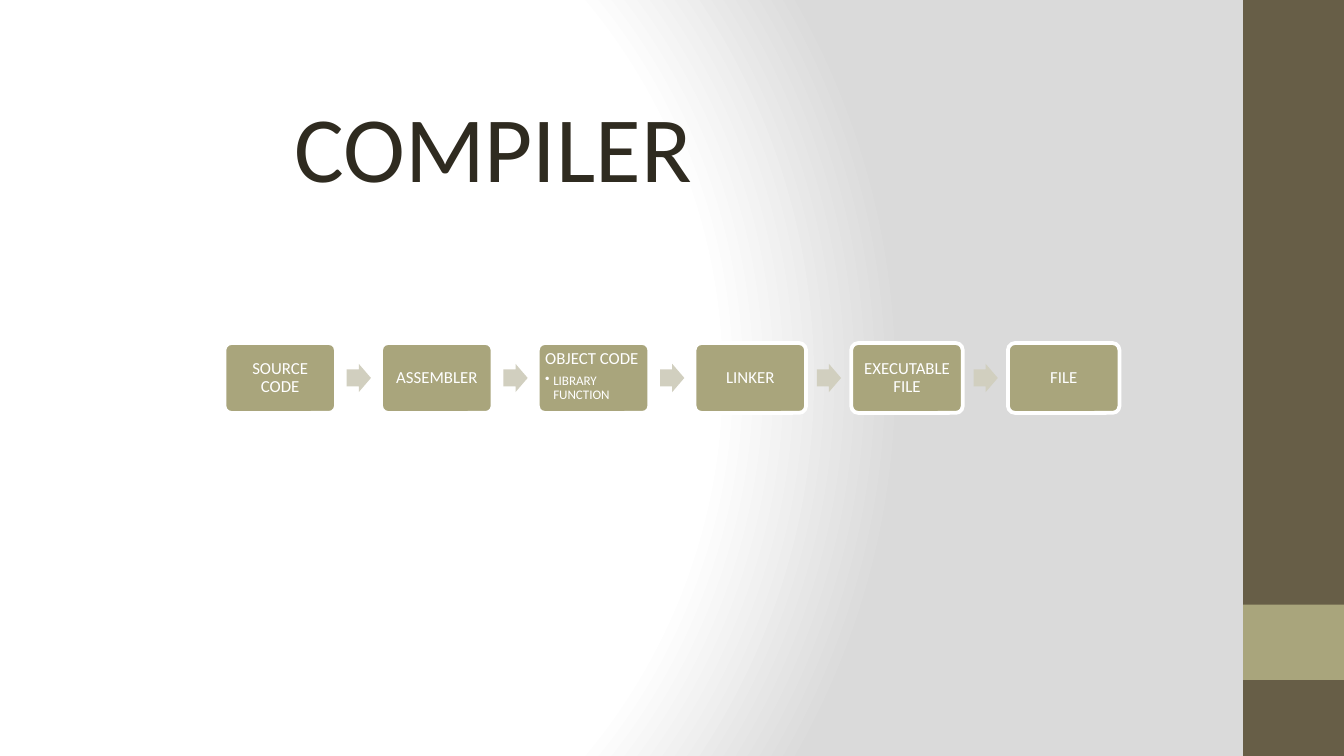
from pptx import Presentation
from pptx.dml.color import RGBColor
from pptx.enum.shapes import MSO_SHAPE
from pptx.enum.text import MSO_ANCHOR, PP_ALIGN
from pptx.oxml import parse_xml
from pptx.oxml.ns import nsdecls
from pptx.util import Inches, Pt

FONT = "Calibri"
WHITE, GREY = "FFFFFF", "DADADA"
BROWN, OLIVE, PALE, INK = "675E47", "A9A57C", "D1CFBF", "2F2B20"

# Widescreen page, 16:9
PAGE_WIDTH = 10
PAGE_HEIGHT = PAGE_WIDTH * 9 / 16

# Each stage has a heading and an optional bullet
STAGES = [
    ("SOURCE CODE", None),
    ("ASSEMBLER", None),
    ("OBJECT CODE", "LIBRARY FUNCTION"),
    ("LINKER", None),
    ("EXECUTABLE FILE", None),
    ("FILE", None),
]
FLOW_LEFT, FLOW_RIGHT = 1.67, 8.33
FLOW_MIDDLE = PAGE_HEIGHT / 2
BOX_WIDTH, BOX_HEIGHT = 0.83, 0.52
ARROW_WIDTH, ARROW_HEIGHT, ARROW_OFFSET = 0.18, 0.21, 0.91


def color(value):
    return RGBColor.from_string(value)


def set_attributes(target, values):
    for name, value in values.items():
        setattr(target, name, value)


def set_background(page):
    """Radial gradient, white at the left and grey at the right."""
    page.background.fill.solid()
    solid = page.element.xpath(".//p:bgPr/a:solidFill")[0]
    stops = "".join(
        f'<a:gs pos="{position}000"><a:srgbClr val="{value}"/></a:gs>'
        for position, value in ((0, WHITE), (75, WHITE), (100, GREY))
    )
    gradient = parse_xml(
        f'<a:gradFill {nsdecls("a")} rotWithShape="1"><a:gsLst>{stops}</a:gsLst>'
        '<a:path path="circle"><a:fillToRect l="20000" t="50000" r="100000" b="50000"/>'
        "</a:path></a:gradFill>"
    )
    solid.getparent().replace(solid, gradient)


def add_shape(page, kind, left, top, width, height, fill, adjustments=()):
    shape = page.shapes.add_shape(
        kind, Inches(left), Inches(top), Inches(width), Inches(height)
    )
    shape.shadow.inherit = False
    shape.fill.solid()
    shape.fill.fore_color.rgb = color(fill)
    shape.line.fill.background()
    for index, value in enumerate(adjustments):
        shape.adjustments[index] = value
    return shape


def write_paragraph(para, text, size, ink=WHITE, **layout):
    para.text = text
    set_attributes(para, layout)
    set_attributes(para.font, {"name": FONT, "size": Pt(size)})
    para.font.color.rgb = color(ink)


def add_title(page, text):
    title = page.shapes.title
    set_attributes(title, {"left": Inches(2.09), "top": Inches(0.61),
                           "width": Inches(4.09), "height": Inches(0.94)})
    title.text_frame.vertical_anchor = MSO_ANCHOR.TOP
    write_paragraph(title.text_frame.paragraphs[0], text, 50, INK,
                    alignment=PP_ALIGN.LEFT)


def add_bullet(frame, text):
    para = frame.add_paragraph()
    properties = para._p.get_or_add_pPr()
    indent = Inches(0.06)
    properties.set("marL", str(indent))
    properties.set("indent", str(-indent))
    properties.append(parse_xml(f'<a:buChar {nsdecls("a")} char="•"/>'))
    write_paragraph(para, text, 7, level=1, alignment=PP_ALIGN.LEFT, line_spacing=0.9)


def add_stage(page, left, heading, bullet):
    box = add_shape(page, MSO_SHAPE.ROUNDED_RECTANGLE, left,
                    FLOW_MIDDLE - BOX_HEIGHT / 2, BOX_WIDTH, BOX_HEIGHT, OLIVE, [0.1])
    box.line.color.rgb = color(WHITE)
    box.line.width = Pt(2)
    frame = box.text_frame
    margin = Inches(0.04)
    set_attributes(frame, {
        "word_wrap": True,
        "margin_left": margin, "margin_right": margin,
        "margin_top": margin, "margin_bottom": margin,
        "vertical_anchor": MSO_ANCHOR.TOP if bullet else MSO_ANCHOR.MIDDLE,
    })
    write_paragraph(frame.paragraphs[0], heading, 9, line_spacing=0.9,
                    alignment=PP_ALIGN.LEFT if bullet else PP_ALIGN.CENTER)
    if bullet:
        frame.paragraphs[0].space_after = Pt(3)
        add_bullet(frame, bullet)


def add_flow(page):
    pitch = (FLOW_RIGHT - FLOW_LEFT - BOX_WIDTH) / (len(STAGES) - 1)
    for index, (heading, bullet) in enumerate(STAGES):
        left = FLOW_LEFT + index * pitch
        add_stage(page, left, heading, bullet)
        if index < len(STAGES) - 1:
            add_shape(page, MSO_SHAPE.RIGHT_ARROW, left + ARROW_OFFSET,
                      FLOW_MIDDLE - ARROW_HEIGHT / 2, ARROW_WIDTH, ARROW_HEIGHT,
                      PALE, [0.6, 0.5])


def main():
    deck = Presentation()
    deck.slide_width, deck.slide_height = Inches(PAGE_WIDTH), Inches(PAGE_HEIGHT)
    page = deck.slides.add_slide(deck.slide_layouts[5])
    set_background(page)

    # Side band with its accent block
    add_shape(page, MSO_SHAPE.RECTANGLE, 9.25, 0, 0.75, PAGE_HEIGHT, BROWN)
    add_shape(page, MSO_SHAPE.RECTANGLE, 9.25, 4.5, 0.75, 0.56, OLIVE)

    # Title and compilation stages
    add_title(page, "COMPILER")
    add_flow(page)
    deck.save("out.pptx")


if __name__ == "__main__":
    main()
